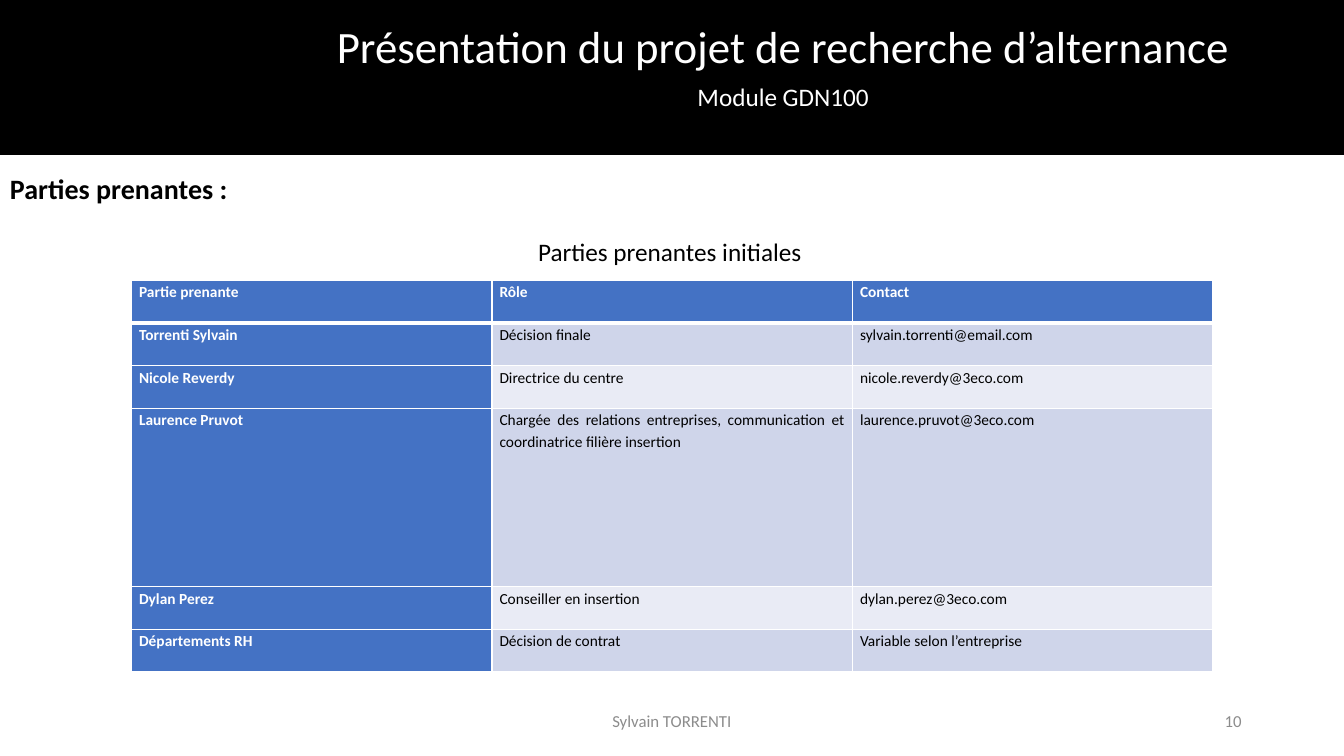
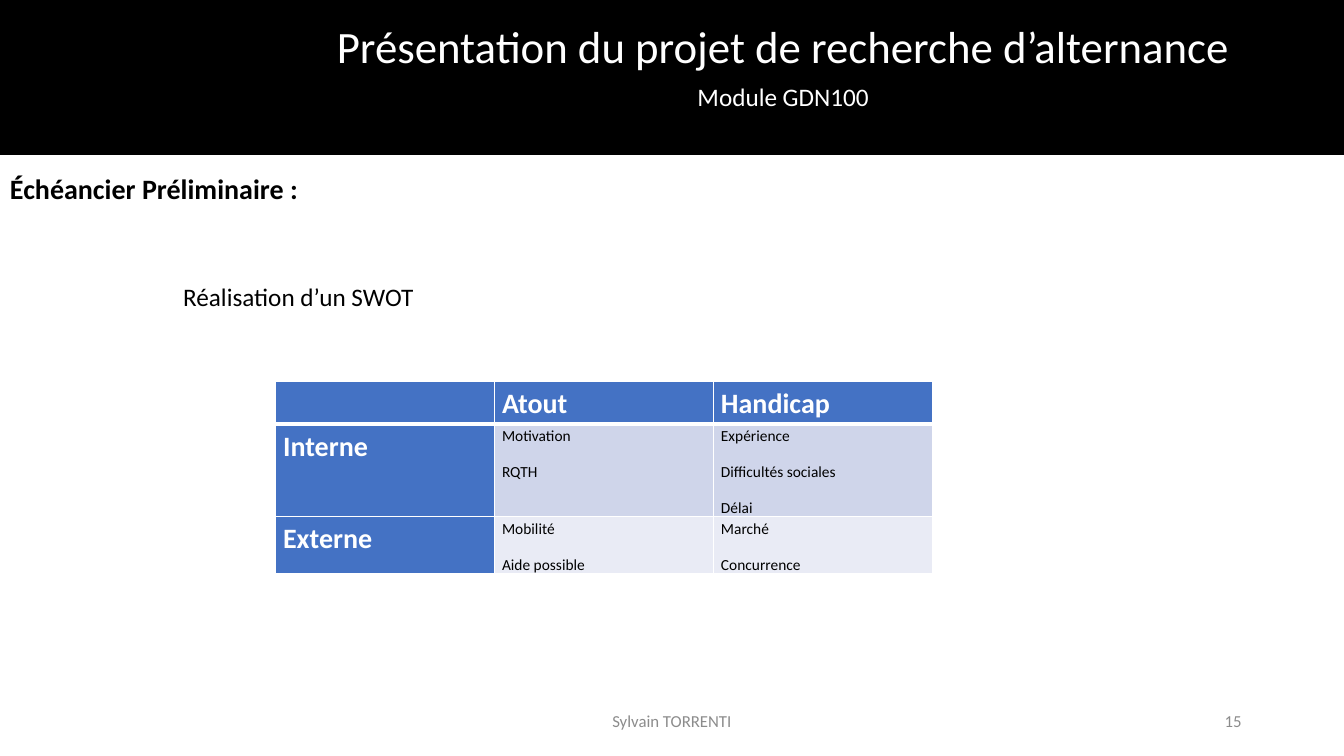
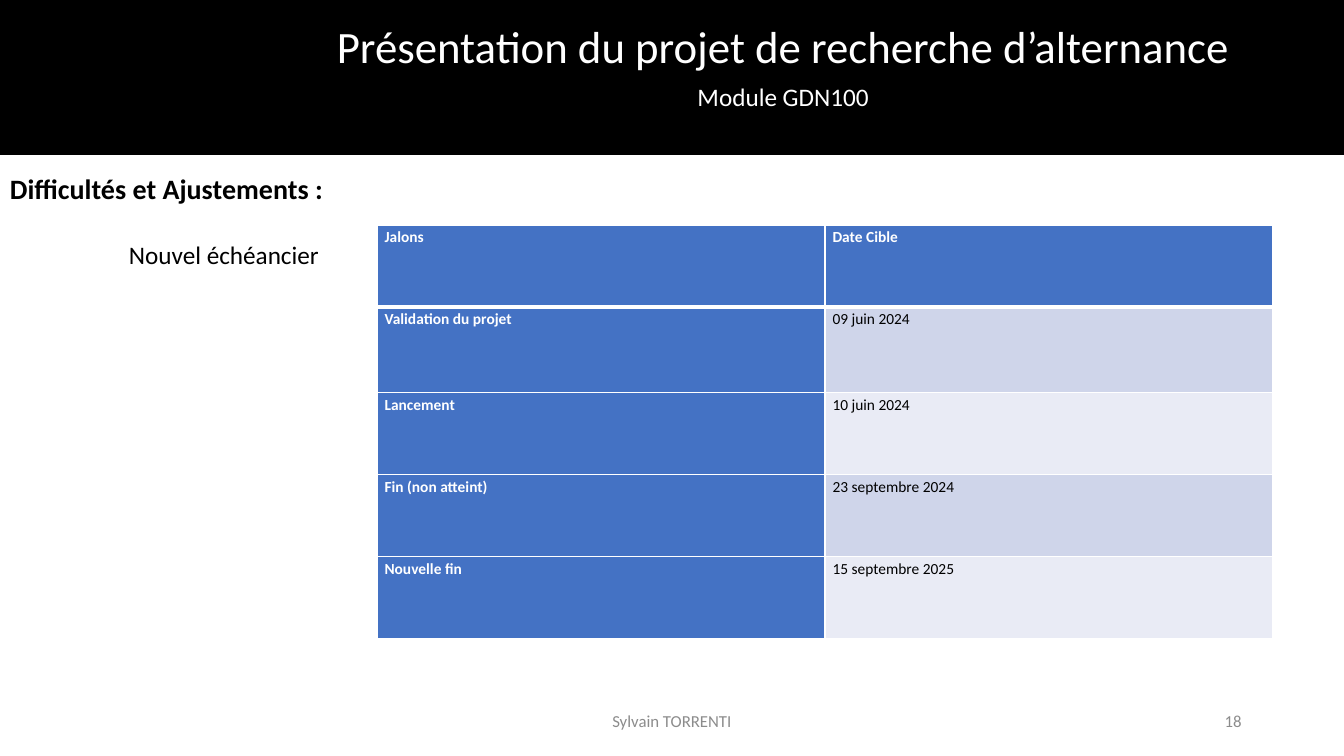
from dataclasses import dataclass

from lxml.etree import SubElement
from pptx import Presentation
from pptx.dml.color import RGBColor
from pptx.enum.shapes import MSO_SHAPE
from pptx.enum.text import MSO_ANCHOR as Anchor, PP_ALIGN as Align
from pptx.oxml.ns import qn
from pptx.util import Pt

FONT = "Calibri"
COLORS = {
    "black": "000000",
    "white": "FFFFFF",
    "grey": "8C8C8C",
    "head": "4472C4",
    "odd": "CFD5EA",
    "even": "E9EBF5",
}


@dataclass(frozen=True)
class Box:
    left: float
    top: float
    width: float
    height: float

    def lengths(self) -> tuple:
        return Pt(self.left), Pt(self.top), Pt(self.width), Pt(self.height)


@dataclass(frozen=True)
class Grid:
    left: float
    top: float
    col_width: float
    row_heights: list[float]
    rows: list[list[str]]
    head_size: float = 11


@dataclass(frozen=True)
class Page:
    number: int
    heading: str
    caption: str
    caption_box: Box
    grid: Grid


# Shared geometry
BAND = Box(0, 0, 960, 110)
TITLE = Box(230.4, 10, 658, 46)
MODULE = Box(230.4, 54.7, 658, 29)
HEADING = Box(0, 118.8, 320, 32)
FOOTER = Box(318, 500.4, 324, 28.8)
NUMBER = Box(678, 500.4, 216, 28.8)

# Page content; a line break in a cell starts a new paragraph
PAGES = [
    Page(10, "Parties prenantes :", "Parties prenantes initiales", Box(377.3, 164.9, 220, 29),
         Grid(93.9, 200.2, 257.5, [30.5, 30.5, 30.5, 127.3, 30.5, 30.5], [
             ["Partie prenante", "Rôle", "Contact"],
             ["Torrenti Sylvain", "Décision finale", "sylvain.torrenti@email.com"],
             ["Nicole Reverdy", "Directrice du centre", "nicole.reverdy@3eco.com"],
             ["Laurence Pruvot",
              "Chargée des relations entreprises, communication et "
              "coordinatrice filière insertion",
              "laurence.pruvot@3eco.com"],
             ["Dylan Perez", "Conseiller en insertion", "dylan.perez@3eco.com"],
             ["Départements RH", "Décision de contrat", "Variable selon l’entreprise"],
         ])),
    Page(15, "Échéancier Préliminaire :", "Réalisation d’un SWOT", Box(123.8, 197.3, 200, 29),
         Grid(196.8, 272.6, 156.4, [30.5, 66, 40], [
             ["", "Atout", "Handicap"],
             ["Interne", "Motivation\nRQTH", "Expérience\nDifficultés sociales\nDélai"],
             ["Externe", "Mobilité\nAide possible", "Marché\nConcurrence"],
         ], head_size=20)),
    Page(18, "Difficultés et Ajustements :", "Nouvel échéancier", Box(85, 167.5, 170, 29),
         Grid(269.3, 160.7, 320, [58.6, 61.2, 58.6, 58.6, 58.6], [
             ["Jalons", "Date Cible"],
             ["Validation du projet", "09 juin 2024"],
             ["Lancement", "10 juin 2024"],
             ["Fin (non atteint)", "23 septembre 2024"],
             ["Nouvelle fin", "15 septembre 2025"],
         ])),
]


def rgb(name: str) -> RGBColor:
    return RGBColor.from_string(COLORS[name])


def style(p, size: float, color: str, bold: bool = False) -> None:
    p.font.name = FONT
    p.font.size = Pt(size)
    p.font.bold = bold
    p.font.color.rgb = rgb(color)


def add_text(s, box: Box, text: str, size: float, color: str = "black", bold: bool = False,
             align: Align = Align.LEFT, anchor: Anchor = Anchor.TOP) -> None:
    tf = s.shapes.add_textbox(*box.lengths()).text_frame
    tf.word_wrap = True
    tf.vertical_anchor = anchor
    p = tf.paragraphs[0]
    p.text = text
    p.alignment = align
    style(p, size, color, bold)


def add_frame(s, page: Page) -> None:
    # Band with title
    sp = s.shapes.add_shape(MSO_SHAPE.RECTANGLE, *BAND.lengths())
    sp.shadow.inherit = False
    sp.fill.solid()
    sp.fill.fore_color.rgb = rgb("black")
    sp.line.color.rgb = rgb("black")
    sp.line.width = Pt(1)
    add_text(s, TITLE, "Présentation du projet de recherche d’alternance", 32, "white",
             align=Align.CENTER)
    add_text(s, MODULE, "Module GDN100", 18, "white", align=Align.CENTER)
    # Footer
    add_text(s, FOOTER, "Sylvain TORRENTI", 12, "grey", align=Align.CENTER, anchor=Anchor.MIDDLE)
    add_text(s, NUMBER, str(page.number), 12, "grey", align=Align.RIGHT, anchor=Anchor.MIDDLE)


def add_borders(cell, top: float, bottom: float) -> None:
    tc_pr = cell._tc.get_or_add_tcPr()
    for side, width in (("L", 1), ("R", 1), ("T", top), ("B", bottom)):
        ln = SubElement(tc_pr, qn(f"a:ln{side}"), w=str(Pt(width)))
        fill = SubElement(ln, qn("a:solidFill"))
        SubElement(fill, qn("a:srgbClr"), val=COLORS["white"])


def fill_cell(cell, text: str, row: int, is_head: bool, head_size: float) -> None:
    add_borders(cell, top=3 if row == 1 else 1, bottom=3 if row == 0 else 1)
    cell.fill.solid()
    cell.fill.fore_color.rgb = rgb("head" if is_head else "odd" if row % 2 else "even")
    cell.margin_left = cell.margin_right = Pt(5.4)
    cell.margin_top = cell.margin_bottom = Pt(0)
    cell.text = text
    for p in cell.text_frame.paragraphs:
        p.alignment = Align.JUSTIFY
        p.line_spacing = 1.15
        p.space_after = Pt(10)
        style(p, head_size if is_head else 11, "white" if is_head else "black", is_head)


def add_grid(s, grid: Grid) -> None:
    n_cols = len(grid.rows[0])
    box = Box(grid.left, grid.top, n_cols * grid.col_width, sum(grid.row_heights))
    table = s.shapes.add_table(len(grid.rows), n_cols, *box.lengths()).table
    table.first_col = True
    for col in table.columns:
        col.width = Pt(grid.col_width)
    for i, (height, texts) in enumerate(zip(grid.row_heights, grid.rows)):
        table.rows[i].height = Pt(height)
        for j, text in enumerate(texts):
            fill_cell(table.cell(i, j), text, i, i == 0 or j == 0, grid.head_size)


def main() -> None:
    prs = Presentation()
    prs.slide_width, prs.slide_height = Pt(960), Pt(540)
    for page in PAGES:
        s = prs.slides.add_slide(prs.slide_layouts[6])
        add_frame(s, page)
        add_text(s, HEADING, page.heading, 20, bold=True)
        add_text(s, page.caption_box, page.caption, 18)
        add_grid(s, page.grid)
    prs.save("out.pptx")


if __name__ == "__main__":
    main()
